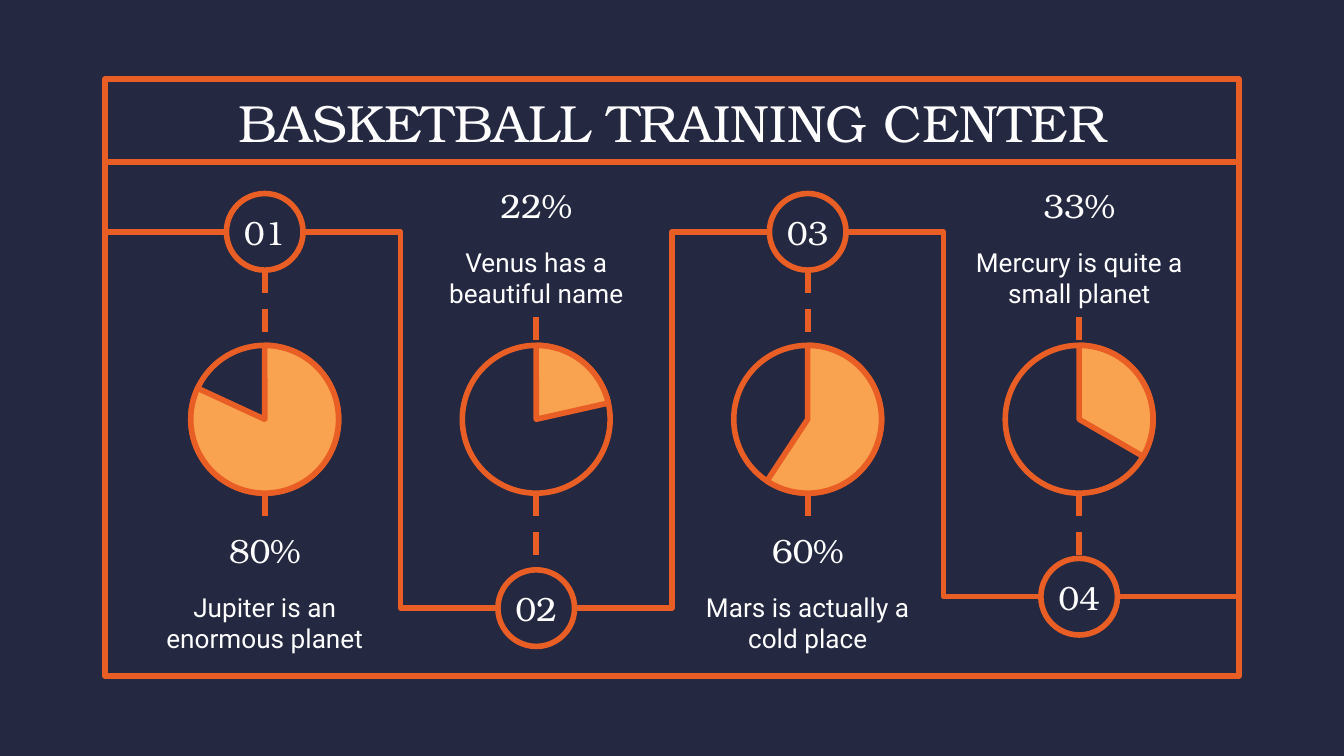
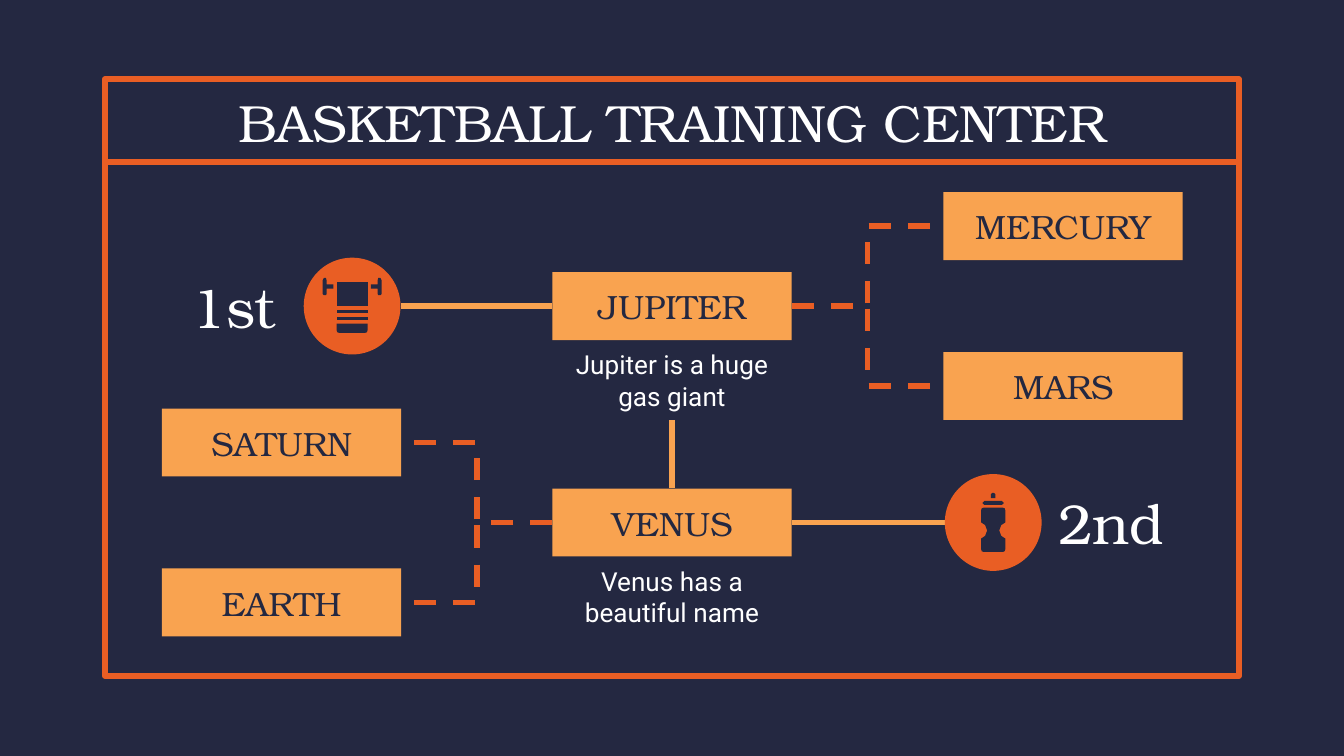
from lxml import etree
from pptx import Presentation
from pptx.dml.color import RGBColor
from pptx.enum.dml import MSO_LINE_DASH_STYLE as Dash
from pptx.enum.shapes import MSO_CONNECTOR as Connector, MSO_SHAPE as Preset
from pptx.enum.text import MSO_ANCHOR as Anchor, PP_ALIGN as Align
from pptx.oxml.ns import qn
from pptx.util import Inches, Pt

COLUMNS, ROWS = 100, 56.25
NAVY, ORANGE, AMBER, WHITE = "242841", "E95E24", "F9A350", "FFFFFF"
SERIF, SANS = "TeX Gyre Bonum", "Roboto"
TOP, LEFT, BOTTOM, RIGHT = range(4)
CARD_WIDTH, CARD_HEIGHT, NOTE_HEIGHT = 17.8, 5.05, 6.3

HEADING = {"name": SERIF, "size": Pt(18)}
NOTE = {"name": SANS, "size": Pt(14)}
TITLE = {"name": SERIF, "size": Pt(28)}
RANK = {"name": SERIF, "size": Pt(30)}


def color(hex_string):
    return RGBColor.from_string(hex_string)


def mirror(points):
    """Reflect points across the vertical axis, in reverse order."""
    return [(-x, y) for x, y in reversed(points)]


def symmetric(half):
    return half + mirror(half)


def bar(half_width, top, bottom):
    return symmetric([(-half_width, top), (-half_width, bottom)])


HANDLE = [(-2.2, -1.9), (-2.1, -2.1), (-1.95, -2.1), (-1.9, -1.9),
          (-1.9, -1.6), (-1.4, -1.6), (-1.4, -1.3), (-1.9, -1.3),
          (-1.9, -0.9), (-1.95, -0.8), (-2.1, -0.8), (-2.2, -0.9)]
TOWEL = [bar(1.15, -1.8, 0), bar(1.15, 0.3, 0.5), bar(1.15, 0.8, 1),
         symmetric([(-1.15, 1.3), (-1.15, 1.8), (-1.1, 1.95), (-0.95, 2)]),
         HANDLE, mirror(HANDLE)]
BOTTLE = [symmetric([(-0.65, -1.6), (-0.8, -1.45), (-0.65, -1.3)]),
          symmetric([(-0.05, -2.2), (-0.17, -2.1), (-0.17, -1.8)]),
          symmetric([(-0.7, -1.1), (-0.85, -1.05), (-0.9, -0.9), (-0.9, 0),
                     (-0.6, 0.2), (-0.45, 0.6), (-0.6, 1), (-0.9, 1.2),
                     (-0.9, 2), (-0.85, 2.15), (-0.7, 2.2)])]


class Deck:
    """Draws on the current slide, with lengths in grid columns and rows."""

    def __init__(self):
        self.presentation = Presentation()
        self.presentation.slide_width = Inches(10)
        self.presentation.slide_height = Inches(5.625)
        self.slide = None

    def grid(self, x, y):
        return (round(self.presentation.slide_width * x / COLUMNS),
                round(self.presentation.slide_height * y / ROWS))

    def box(self, x, y, width, height):
        return *self.grid(x, y), *self.grid(width, height)

    def new_slide(self, title):
        self.slide = self.presentation.slides.add_slide(
            self.presentation.slide_layouts[6])
        background = self.slide.background.fill
        background.solid()
        background.fore_color.rgb = color(NAVY)
        self.shape(Preset.RECTANGLE, (7.8, 5.9, 84.4, 44.4), line=ORANGE)
        self.connector((8, 12.05), (92, 12.05))
        self.text(title, (7.8, 5.9, 84.4, 6.3), TITLE, anchor=Anchor.MIDDLE)

    def paint(self, shape, fill=None, line=None):
        shape.shadow.inherit = False
        if fill:
            shape.fill.solid()
            shape.fill.fore_color.rgb = color(fill)
        else:
            shape.fill.background()
        if line:
            shape.line.color.rgb = color(line)
            shape.line.width = Pt(3)
        else:
            shape.line.fill.background()

    def shape(self, preset, area, fill=None, line=None):
        shape = self.slide.shapes.add_shape(preset, *self.box(*area))
        self.paint(shape, fill, line)
        return shape

    def circle(self, x, y, diameter, fill=NAVY, line=ORANGE, preset=Preset.OVAL):
        area = (x - diameter / 2, y - diameter / 2, diameter, diameter)
        return self.shape(preset, area, fill, line)

    def pie(self, x, y, diameter, sweep):
        """Draw a ring filled clockwise from the top by sweep degrees."""
        self.circle(x, y, diameter)
        wedge = self.circle(x, y, diameter, AMBER, preset=Preset.PIE)
        for index, angle in enumerate((270, (sweep + 270) % 360)):
            wedge.adjustments[index] = angle * 0.6

    def icon(self, x, y, outlines):
        for outline in outlines:
            points = [self.grid(x + dx, y + dy) for dx, dy in outline]
            builder = self.slide.shapes.build_freeform(*points[0])
            builder.add_line_segments(points[1:], close=True)
            self.paint(builder.convert_to_shape(), NAVY)

    def label(self, shape, text, font, ink=WHITE, anchor=Anchor.TOP,
              side_margin=0.1, space_after=0):
        frame = shape.text_frame
        frame_format = {"word_wrap": True, "vertical_anchor": anchor,
                        "margin_left": Inches(side_margin),
                        "margin_right": Inches(side_margin),
                        "margin_top": Inches(0.1), "margin_bottom": Inches(0.1)}
        for name, value in frame_format.items():
            setattr(frame, name, value)
        paragraph = frame.paragraphs[0]
        paragraph.alignment = Align.CENTER
        paragraph.space_after = Pt(space_after)
        run = paragraph.add_run()
        run.text = text
        for name, value in font.items():
            setattr(run.font, name, value)
        run.font.color.rgb = color(ink)

    def text(self, text, area, font, **style):
        shape = self.slide.shapes.add_textbox(*self.box(*area))
        self.label(shape, text, font, **style)
        return shape

    def heading(self, text, x, y):
        return self.text(text, (x, y, CARD_WIDTH, CARD_HEIGHT), HEADING,
                         anchor=Anchor.BOTTOM, space_after=12)

    def note(self, text, x, y):
        return self.text(text, (x, y, CARD_WIDTH, NOTE_HEIGHT), NOTE)

    def card(self, text, x, y):
        shape = self.shape(Preset.RECTANGLE, (x, y, CARD_WIDTH, CARD_HEIGHT), AMBER)
        self.label(shape, text, HEADING, NAVY, Anchor.BOTTOM, space_after=12)
        return shape

    def connector(self, start, end, line=ORANGE, dashed=False,
                  kind=Connector.STRAIGHT, begin_at=None, end_at=None):
        """Join two grid points; begin_at and end_at are (shape, side) pairs."""
        connector = self.slide.shapes.add_connector(
            kind, *self.grid(*start), *self.grid(*end))
        connector.line.color.rgb = color(line)
        connector.line.width = Pt(3)
        if dashed:
            connector.line.dash_style = Dash.DASH
        etree.SubElement(connector._element.spPr, qn("a:effectLst"))
        if begin_at:
            connector.begin_connect(*begin_at)
        if end_at:
            connector.end_connect(*end_at)


def add_steps_slide(deck):
    deck.new_slide("BASKETBALL TRAINING CENTER")
    first_x, pitch, pie_y = 19.7, 20.2, 31.2
    node, pie = 5.7, 11
    node_edge, pie_edge = node / 2, pie / 2
    steps = [(17.25, "80%", 294.84, "Jupiter is an enormous planet"),
             (45.25, "22%", 77.32, "Venus has a beautiful name"),
             (17.25, "60%", 213.35, "Mars is actually a cold place"),
             (44.4, "33%", 120.14, "Mercury is quite a small planet")]
    centers = [(first_x + index * pitch, step[0])
               for index, step in enumerate(steps)]

    for number, ((x, y), (_, percent, sweep, note)) in enumerate(
            zip(centers, steps), 1):
        circle = deck.circle(x, y, node)
        deck.label(circle, f"{number:02}", HEADING, anchor=Anchor.MIDDLE,
                   side_margin=0)
        deck.pie(x, pie_y, pie, sweep)
        node_above = y < pie_y
        text_top = 38.4 if node_above else 12.7
        text_left = x - CARD_WIDTH / 2
        heading = deck.heading(percent, text_left, text_top)
        description = deck.note(note, text_left, text_top + 4.6)
        pie_top, pie_bottom = (x, pie_y - pie_edge), (x, pie_y + pie_edge)
        if node_above:
            deck.connector((x, y + node_edge), pie_top, dashed=True)
            deck.connector(pie_bottom, (x, text_top), dashed=True,
                           end_at=(heading, TOP))
        else:
            deck.connector(pie_bottom, (x, y - node_edge), dashed=True)
            deck.connector((x, text_top + 4.6 + NOTE_HEIGHT), pie_top,
                           dashed=True, begin_at=(description, BOTTOM))

    for (x, y), (next_x, next_y) in zip(centers, centers[1:]):
        deck.connector((x + node_edge, y), (next_x - node_edge, next_y),
                       kind=Connector.ELBOW)
    (start_x, start_y), (end_x, end_y) = centers[0], centers[-1]
    deck.connector((start_x - node_edge, start_y), (7.75, start_y))
    deck.connector((92.2, end_y), (end_x + node_edge, end_y))


def add_ranking_slide(deck):
    deck.new_slide("BASKETBALL TRAINING CENTER")
    hub_x, branch_step, badge = 41.1, 5.95, 7.2
    hub_right = hub_x + CARD_WIDTH
    ranks = [("JUPITER", "Jupiter is a huge gas giant", 20.25,
              ("MERCURY", "MARS"), 70.2, "1st", 12.1, 26.2, TOWEL),
             ("VENUS", "Venus has a beautiful name", 36.35,
              ("SATURN", "EARTH"), 12.05, "2nd", 77.4, 73.9, BOTTLE)]
    previous_note = None

    for (name, note, top, branches, branch_x,
         rank, rank_x, badge_x, outlines) in ranks:
        middle = top + CARD_HEIGHT / 2
        hub = deck.card(name, hub_x, top)
        description = deck.note(note, hub_x, top + 4.7)
        if previous_note:
            deck.connector((50, top), (50, 31.1), AMBER, begin_at=(hub, TOP),
                           end_at=(previous_note, BOTTOM))
        previous_note = description

        if branch_x > hub_x:
            branch_start, branch_end = hub_right, branch_x
            badge_side, badge_start, badge_end = LEFT, badge_x + badge / 2, hub_x
        else:
            branch_start, branch_end = hub_x, branch_x + CARD_WIDTH
            badge_side, badge_start, badge_end = RIGHT, badge_x - badge / 2, hub_right
        for branch, offset in zip(branches, (-branch_step, branch_step)):
            deck.card(branch, branch_x, top + offset)
            deck.connector((branch_start, middle), (branch_end, middle + offset),
                           dashed=True, kind=Connector.ELBOW)
        deck.connector((badge_start, middle), (badge_end, middle), AMBER,
                       end_at=(hub, badge_side))
        deck.circle(badge_x, middle, badge, ORANGE, None)
        deck.icon(badge_x, middle, outlines)
        deck.text(rank, (rank_x, middle - 2.5, 10.6, 5), RANK,
                  anchor=Anchor.MIDDLE, space_after=12)


def main():
    deck = Deck()
    add_steps_slide(deck)
    add_ranking_slide(deck)
    deck.presentation.save("out.pptx")


if __name__ == "__main__":
    main()
